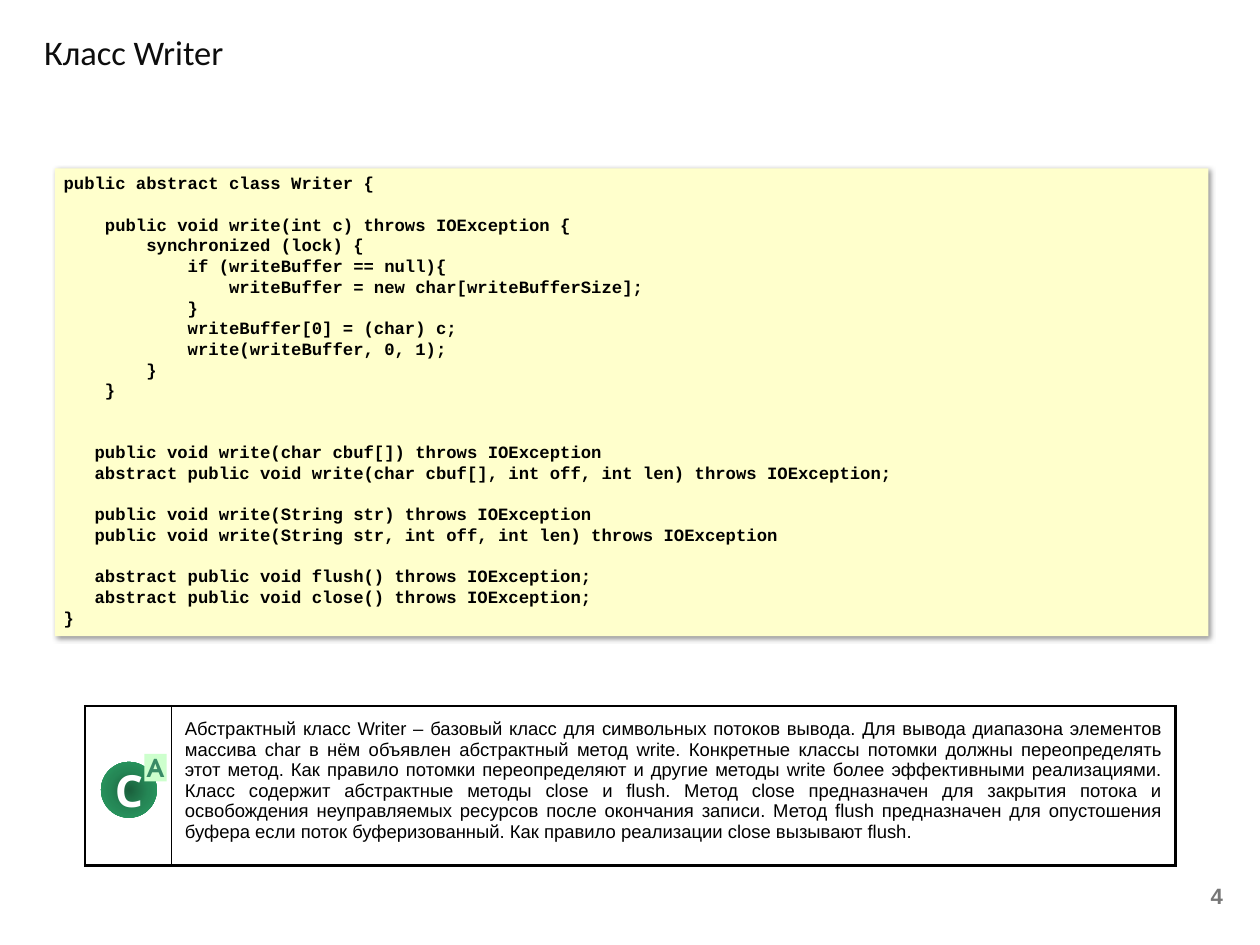
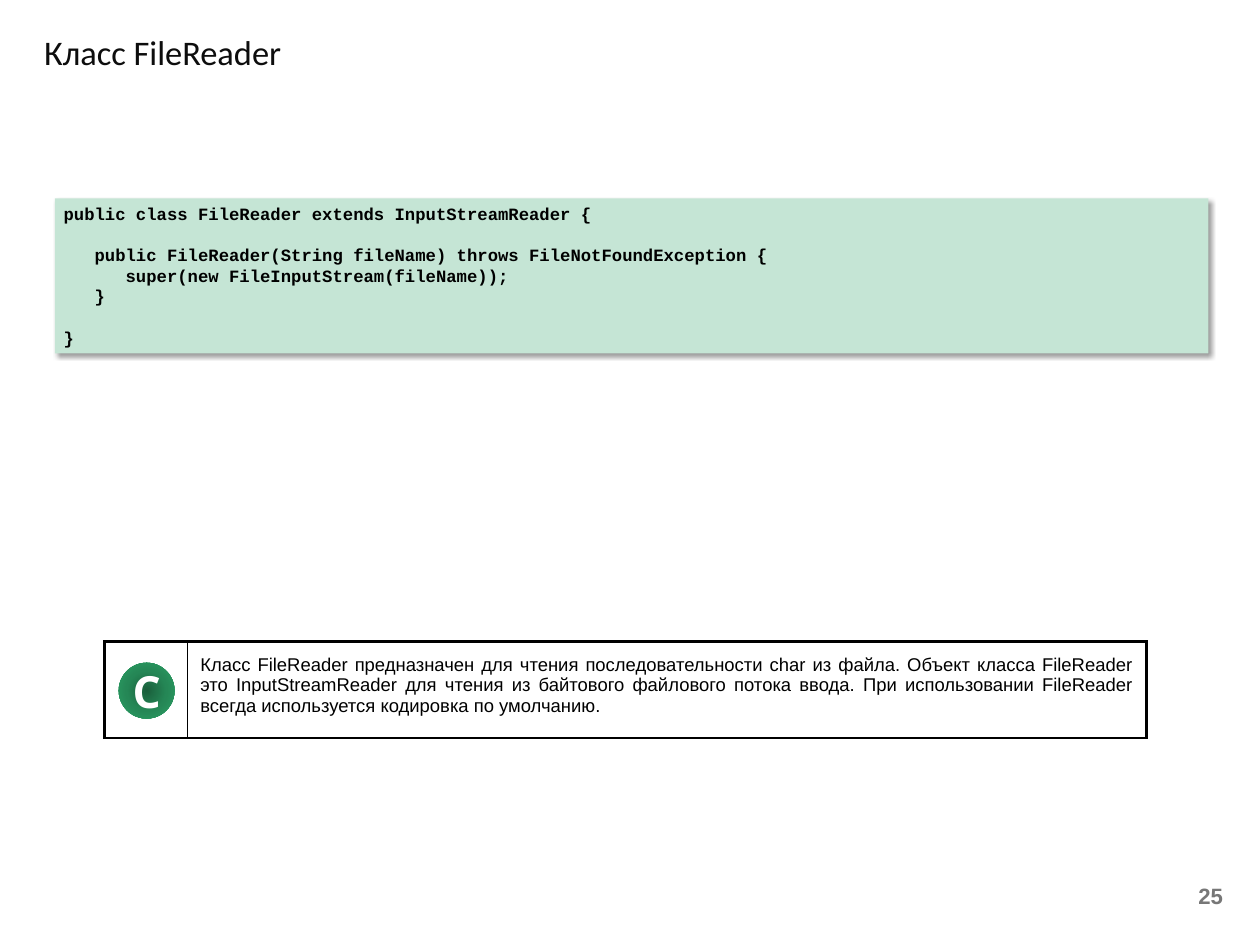
"""Build two lecture slides about the Java Writer and FileReader classes."""
from lxml.etree import SubElement as Sub
from pptx import Presentation
from pptx.dml.color import RGBColor
from pptx.enum.shapes import MSO_AUTO_SHAPE_TYPE as Shape
from pptx.enum.text import MSO_ANCHOR as Anchor, PP_ALIGN as Align
from pptx.oxml import parse_xml
from pptx.oxml.ns import nsdecls, qn
from pptx.util import Pt

BLACK = RGBColor(0x00, 0x00, 0x00)
WHITE = RGBColor(0xFF, 0xFF, 0xFF)
TITLE_INK = RGBColor(0x0D, 0x0D, 0x0D)
NUMBER_GREY = RGBColor(0x77, 0x77, 0x77)
CODE_YELLOW = RGBColor(0xFF, 0xFF, 0xCC)
CODE_GREEN = RGBColor(0xC5, 0xE5, 0xD5)
BADGE_STOPS = (
    (0, RGBColor(0x1A, 0x5F, 0x3C)),
    (50, RGBColor(0x25, 0x87, 0x56)),
    (100, RGBColor(0x2B, 0xA1, 0x66)),
)
TAG_FILL = RGBColor(0xCD, 0xFF, 0xCD)
TAG_INK = RGBColor(0x39, 0x8B, 0x66)

CODE_PITCH = 16.83
NOTE_PITCH = 16.6
BADGE_SIZE = 45.4
THICK, THIN = 2.25, 0.5

WRITER_CODE = """\
public abstract class Writer {

    public void write(int c) throws IOException {
        synchronized (lock) {
            if (writeBuffer == null){
                writeBuffer = new char[writeBufferSize];
            }
            writeBuffer[0] = (char) c;
            write(writeBuffer, 0, 1);
        }
    }


   public void write(char cbuf[]) throws IOException
   abstract public void write(char cbuf[], int off, int len) throws IOException;

   public void write(String str) throws IOException
   public void write(String str, int off, int len) throws IOException

   abstract public void flush() throws IOException;
   abstract public void close() throws IOException;
}"""

READER_CODE = """\
public class FileReader extends InputStreamReader {

   public FileReader(String fileName) throws FileNotFoundException {
      super(new FileInputStream(fileName));
   }

}"""

WRITER_NOTE = (
    "Абстрактный класс Writer – базовый класс для символьных потоков вывода. "
    "Для вывода диапазона элементов массива char в нём объявлен абстрактный метод write. "
    "Конкретные классы потомки должны переопределять этот метод. "
    "Как правило потомки переопределяют и другие методы write более эффективными реализациями. "
    "Класс содержит абстрактные методы close и flush. "
    "Метод close предназначен для закрытия потока и освобождения неуправляемых ресурсов "
    "после окончания записи. "
    "Метод flush предназначен для опустошения буфера если поток буферизованный. "
    "Как правило реализации close вызывают flush."
)

READER_NOTE = (
    "Класс FileReader предназначен для чтения последовательности char из файла. "
    "Объект класса FileReader это InputStreamReader для чтения из байтового файлового "
    "потока ввода. "
    "При использовании FileReader всегда используется кодировка по умолчанию."
)


def write(para, text, *, font="Arial", size, color=BLACK, bold=False,
          align=Align.LEFT, pitch=None, before=0):
    """Put formatted text into a paragraph."""
    para.alignment = align
    para.space_before = Pt(before)
    if pitch:
        para.line_spacing = Pt(pitch)
    span = para.add_run()
    span.text = text
    span.font.name = font
    span.font.size = Pt(size)
    span.font.bold = bold
    span.font.color.rgb = color


def add_label(page, text, left, top, width, height, anchor=Anchor.TOP, **style):
    """Add a text box holding one line."""
    frame = page.shapes.add_textbox(Pt(left), Pt(top), Pt(width), Pt(height)).text_frame
    frame.word_wrap = True
    frame.vertical_anchor = anchor
    write(frame.paragraphs[0], text, **style)


def add_plain(page, kind, left, top, width, height, fill=None):
    """Add a preset shape without outline or inherited shadow."""
    shape = page.shapes.add_shape(kind, Pt(left), Pt(top), Pt(width), Pt(height))
    shape.shadow.inherit = False
    shape.line.fill.background()
    if fill is None:
        shape.fill.background()
    else:
        shape.fill.solid()
        shape.fill.fore_color.rgb = fill
    return shape


def add_letter(shape, text, **style):
    """Centre a letter in a shape without margins."""
    frame = shape.text_frame
    frame.margin_left = frame.margin_right = frame.margin_top = frame.margin_bottom = 0
    frame.vertical_anchor = Anchor.MIDDLE
    write(frame.paragraphs[0], text, align=Align.CENTER, color=style.pop("color", WHITE),
          bold=True, **style)


def add_code(page, code, top, height, fill):
    """Add a shadowed panel of source code, with blank lines as spacing."""
    panel = add_plain(page, Shape.RECTANGLE, 44.6, top, 937.4, height, fill)
    effects = panel.element.spPr.find(qn("a:effectLst"))
    effects.append(parse_xml(
        f'<a:outerShdw {nsdecls("a")} blurRad="{Pt(4)}" dist="{Pt(3)}" dir="2700000" '
        f'algn="tl" rotWithShape="0"><a:srgbClr val="{BLACK}">'
        '<a:alpha val="40000"/></a:srgbClr></a:outerShdw>'))
    frame = panel.text_frame
    frame.word_wrap = True
    frame.vertical_anchor = Anchor.TOP
    para, blanks = frame.paragraphs[0], 0
    for line in code.splitlines():
        if not line:
            blanks += 1
            continue
        para = para or frame.add_paragraph()
        write(para, line, font="Courier New", size=14, bold=True,
              pitch=CODE_PITCH, before=round(blanks * CODE_PITCH, 2))
        para, blanks = None, 0


def set_borders(cell, **widths):
    """Draw black cell borders, keyed by side letter."""
    props = cell._tc.get_or_add_tcPr()
    for side, width in widths.items():
        line = Sub(props, qn(f"a:ln{side}"), w=str(Pt(width)))
        Sub(Sub(line, qn("a:solidFill")), qn("a:srgbClr"), val=str(BLACK))


def add_note(page, text, left, top, columns, height):
    """Add the framed explanation with a narrow icon column."""
    table = page.shapes.add_table(
        1, len(columns), Pt(left), Pt(top), Pt(sum(columns)), Pt(height)).table
    table.first_row = table.horz_banding = False
    table.rows[0].height = Pt(height)
    for column, width in zip(table.columns, columns):
        column.width = Pt(width)
    icon, body = table.cell(0, 0), table.cell(0, 1)
    set_borders(icon, L=THICK, R=THIN, T=THICK, B=THICK)
    set_borders(body, L=THIN, R=THICK, T=THICK, B=THICK)
    for cell in (icon, body):
        cell.fill.solid()
        cell.fill.fore_color.rgb = WHITE
    body.margin_left = body.margin_right = body.margin_top = body.margin_bottom = Pt(10.8)
    write(body.text_frame.paragraphs[0], text, size=15, align=Align.JUSTIFY, pitch=NOTE_PITCH)


def add_badge(page, left, top, abstract=False):
    """Add the round class badge, tagged when the class is abstract."""
    circle = add_plain(page, Shape.OVAL, left, top, BADGE_SIZE, BADGE_SIZE)
    stops = "".join(f'<a:gs pos="{share * 1000}"><a:srgbClr val="{color}"/></a:gs>'
                    for share, color in BADGE_STOPS)
    gradient = parse_xml(
        f'<a:gradFill {nsdecls("a")} rotWithShape="1"><a:gsLst>{stops}</a:gsLst>'
        '<a:path path="circle"><a:fillToRect l="50000" t="50000" r="50000" b="50000"/>'
        '</a:path></a:gradFill>')
    props = circle.element.spPr
    props.replace(props.find(qn("a:noFill")), gradient)
    add_letter(circle, "C", font="Noto Sans", size=36)
    if abstract:
        tag = add_plain(page, Shape.RECTANGLE, left + 35.3, top - 6.5, 18, 22.3, TAG_FILL)
        add_letter(tag, "A", font="TeX Gyre Adventor", size=20, color=TAG_INK)


def add_page(deck, title, number):
    """Add a blank slide with its title and number."""
    page = deck.slides.add_slide(deck.slide_layouts[6])
    add_label(page, title, 28.8, 21.6, 794, 45.4,
              font="Calibri", size=28, color=TITLE_INK)
    add_label(page, str(number), 762, 709.2, 239, 38.2, Anchor.MIDDLE,
              size=18, color=NUMBER_GREY, bold=True, align=Align.RIGHT)
    return page


def main():
    """Build and save the deck."""
    deck = Presentation()
    deck.slide_width, deck.slide_height = Pt(1024), Pt(768)

    page = add_page(deck, "Класс Writer", 4)
    add_code(page, WRITER_CODE, 136.8, 380.2, CODE_YELLOW)
    add_note(page, WRITER_NOTE, 69.1, 573.8, (70.4, 816), 129.6)
    add_badge(page, 82.1, 619.2, abstract=True)

    page = add_page(deck, "Класс FileReader", 25)
    add_code(page, READER_CODE, 161.3, 126, CODE_GREEN)
    add_note(page, READER_NOTE, 85, 521.3, (67, 779.8), 78.5)
    add_badge(page, 96.5, 538.6)

    deck.save("out.pptx")


if __name__ == "__main__":
    main()
